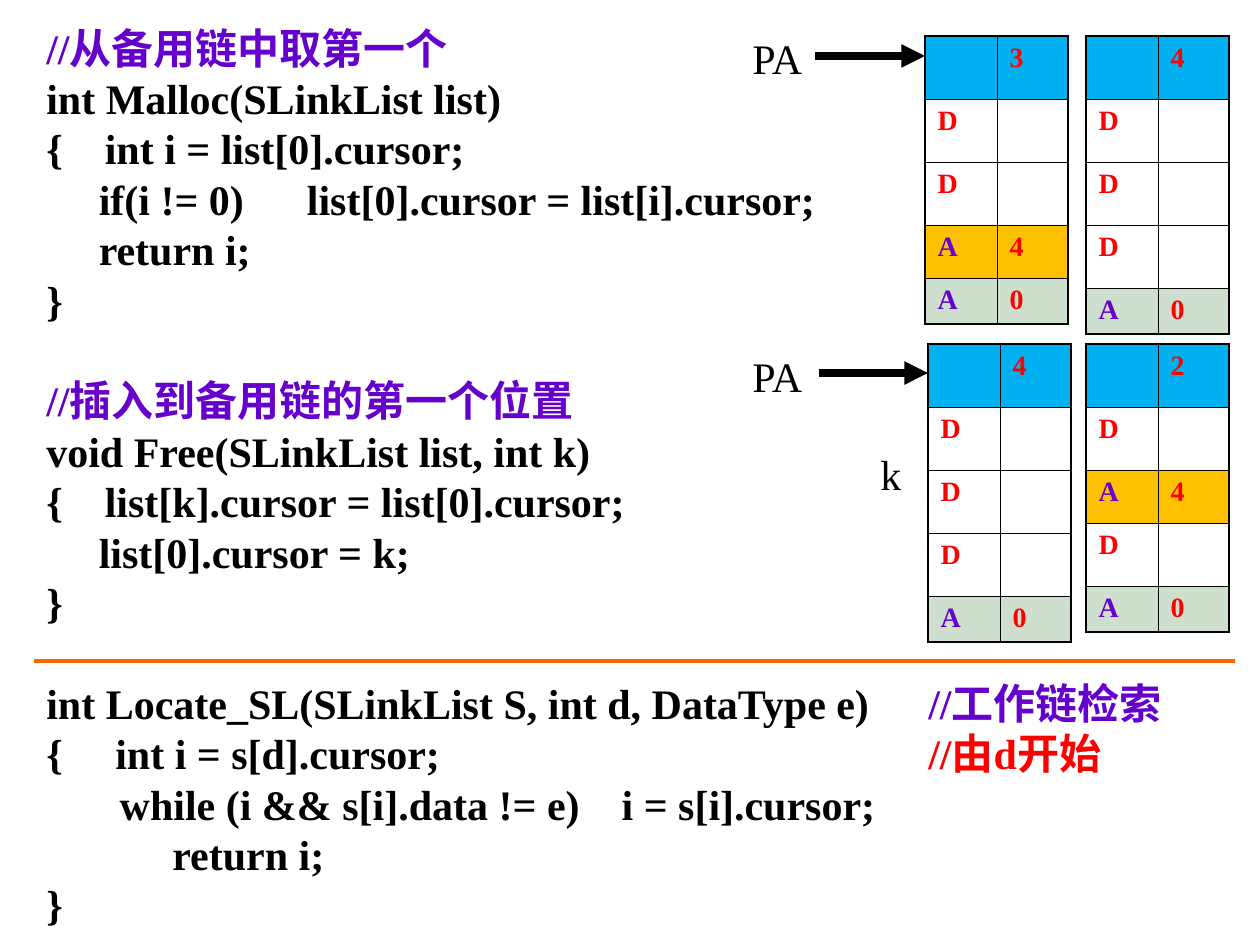
import pptx
import pptx.util
import pptx.dml.color
import pptx.enum.shapes
import pptx.enum.text
import pptx.oxml
import pptx.oxml.ns
from lxml import etree

THEME = {
    "font": "Times New Roman",
    "code_size": 24,
    "cell_size": 16,
    "leading": 28.8,
    "ink": "000000",
    "note": "6600CC",
    "accent": "FF0000",
    "rule": "FF6600",
    "head": "00B0F0",
    "changed": "FFC000",
    "last": "CEDFCE",
    "thin": 0.45,
    "thick": 1.08,
    "rule_width": 2,
    "arrow_width": 4.5,
}

CODE_BLOCKS = [
    [
        [("//从备用链中取第一个", "note")],
        [("int Malloc(SLinkList list)", "ink")],
        [("{    int i = list[0].cursor;", "ink")],
        [("     if(i != 0)      list[0].cursor = list[i].cursor;", "ink")],
        [("     return i;", "ink")],
        [("}", "ink")],
    ],
    [
        [("//插入到备用链的第一个位置", "note")],
        [("void Free(SLinkList list, int k)", "ink")],
        [("{    list[k].cursor = list[0].cursor;", "ink")],
        [("     list[0].cursor = k;", "ink")],
        [("}", "ink")],
    ],
    [
        [("int Locate_SL(SLinkList S, int d, DataType e)\t", "ink"), ("//工作链检索", "note")],
        [("{     int i = s[d].cursor;\t", "ink"), ("//由d开始", "accent")],
        [("       while (i && s[i].data != e)    i = s[i].cursor;", "ink")],
        [("\treturn i;", "ink")],
        [("}", "ink")],
    ],
]
CODE_BOX = (34, 16, 1211, 920)
CODE_TABS = (126, 882)

HEAD, DATA, CHANGED, LAST = "head", "data", "changed", "last"
ROW_HEIGHTS = {HEAD: 63, DATA: 63, CHANGED: 53, LAST: 46}
COLUMN_WIDTHS = (72, 71)
EMPTY_ROW = (DATA, "D", "")
CHANGED_ROW = (CHANGED, "A", "4")
LAST_ROW = (LAST, "A", "0")
LISTS = [
    (925, 36, [(HEAD, "", "3"), EMPTY_ROW, EMPTY_ROW, CHANGED_ROW, LAST_ROW]),
    (1086, 36, [(HEAD, "", "4"), EMPTY_ROW, EMPTY_ROW, EMPTY_ROW, LAST_ROW]),
    (928, 344, [(HEAD, "", "4"), EMPTY_ROW, EMPTY_ROW, EMPTY_ROW, LAST_ROW]),
    (1086, 344, [(HEAD, "", "2"), EMPTY_ROW, CHANGED_ROW, EMPTY_ROW, LAST_ROW]),
]

LABELS = [("k", 868, 442, 45), ("PA", 740, 344, 78), ("PA", 740, 26, 78)]
ARROWS = [(815, 925, 56), (819, 928, 373)]
RULE = (34, 1235, 661)


def px(count):
    return pptx.util.Emu(count * 914400 // 126)


def color(name):
    return pptx.dml.color.RGBColor.from_string(THEME[name])


def add_span(para, text, tint, size, bold):
    span = para.add_run()
    span.text = text
    span.font.name = THEME["font"]
    span.font.size = pptx.util.Pt(THEME[size])
    span.font.bold = bold
    span.font.color.rgb = color(tint)


def add_box(page, left, top, width, height, wrap):
    box = page.shapes.add_textbox(px(left), px(top), px(width), px(height))
    box.text_frame.word_wrap = wrap
    box.text_frame.auto_size = pptx.enum.text.MSO_AUTO_SIZE.SHAPE_TO_FIT_TEXT
    return box.text_frame


def add_code(page):
    frame = add_box(page, *CODE_BOX, True)
    para = frame.paragraphs[0]
    for block_index, block in enumerate(CODE_BLOCKS):
        for line_index, line in enumerate(block):
            if block_index or line_index:
                para = frame.add_paragraph()
            para.line_spacing = pptx.util.Pt(THEME["leading"])
            if block_index and not line_index:
                para.space_before = pptx.util.Pt(THEME["leading"])
            stops = etree.SubElement(para._p.get_or_add_pPr(), pptx.oxml.ns.qn("a:tabLst"))
            for stop in CODE_TABS:
                etree.SubElement(stops, pptx.oxml.ns.qn("a:tab"), pos=str(px(stop)), algn="l")
            for text, tint in line:
                add_span(para, text, tint, "code_size", True)


def add_line(page, left, right, y, tint, width, arrow):
    line = page.shapes.add_connector(
        pptx.enum.shapes.MSO_CONNECTOR.STRAIGHT, px(left), px(y), px(right), px(y))
    line.line.color.rgb = color(tint)
    line.line.width = pptx.util.Pt(THEME[width])
    if arrow:
        etree.SubElement(line.line._get_or_add_ln(), pptx.oxml.ns.qn("a:tailEnd"), type="triangle")
    etree.SubElement(line._element.spPr, pptx.oxml.ns.qn("a:effectLst"))


def add_borders(cell, outer):
    properties = cell._tc.get_or_add_tcPr()
    for side in "LRTB":
        weight = THEME["thick" if side in outer else "thin"]
        edge = etree.SubElement(
            properties, pptx.oxml.ns.qn("a:ln" + side), w=str(pptx.util.Pt(weight)))
        fill = etree.SubElement(edge, pptx.oxml.ns.qn("a:solidFill"))
        etree.SubElement(fill, pptx.oxml.ns.qn("a:srgbClr"), val=THEME["ink"])


def add_list(page, left, top, rows):
    heights = [ROW_HEIGHTS[kind] for kind, *_ in rows]
    table = page.shapes.add_table(
        len(rows), len(COLUMN_WIDTHS), px(left), px(top),
        px(sum(COLUMN_WIDTHS)), px(sum(heights))).table
    table.first_row = False
    table.horz_banding = False
    for column, width in zip(table.columns, COLUMN_WIDTHS):
        column.width = px(width)
    for row_index, (kind, *values) in enumerate(rows):
        table.rows[row_index].height = px(heights[row_index])
        for column_index, value in enumerate(values):
            cell = table.cell(row_index, column_index)
            outer = "LR"[column_index]
            if row_index == 0:
                outer += "T"
            if row_index == len(rows) - 1:
                outer += "B"
            add_borders(cell, outer)
            if kind == DATA:
                cell.fill.background()
            else:
                cell.fill.solid()
                cell.fill.fore_color.rgb = color(kind)
            para = cell.text_frame.paragraphs[0]
            if value:
                add_span(para, value, "note" if value == "A" else "accent", "cell_size", True)
            else:
                para.font.size = pptx.util.Pt(THEME["cell_size"])


def main():
    deck = pptx.Presentation()
    deck.slide_width = px(1260)
    deck.slide_height = px(945)
    page = deck.slides.add_slide(deck.slide_layouts[6])
    add_code(page)
    add_line(page, *RULE, "rule", "rule_width", False)
    for left, top, rows in LISTS:
        add_list(page, left, top, rows)
    for arrow in ARROWS:
        add_line(page, *arrow, "ink", "arrow_width", True)
    for text, left, top, width in LABELS:
        para = add_box(page, left, top, width, 63, False).paragraphs[0]
        para.line_spacing = pptx.util.Pt(THEME["leading"])
        add_span(para, text, "ink", "code_size", False)
    deck.save("out.pptx")


if __name__ == "__main__":
    main()
